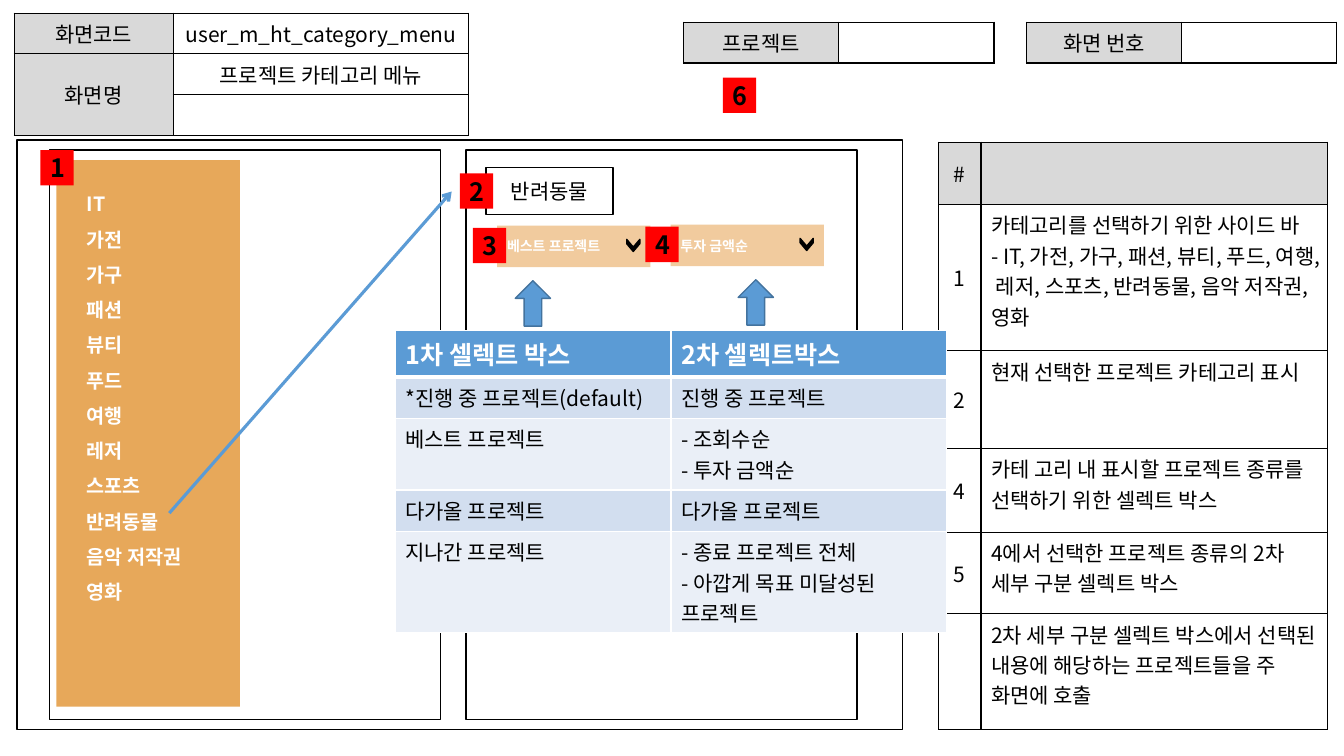
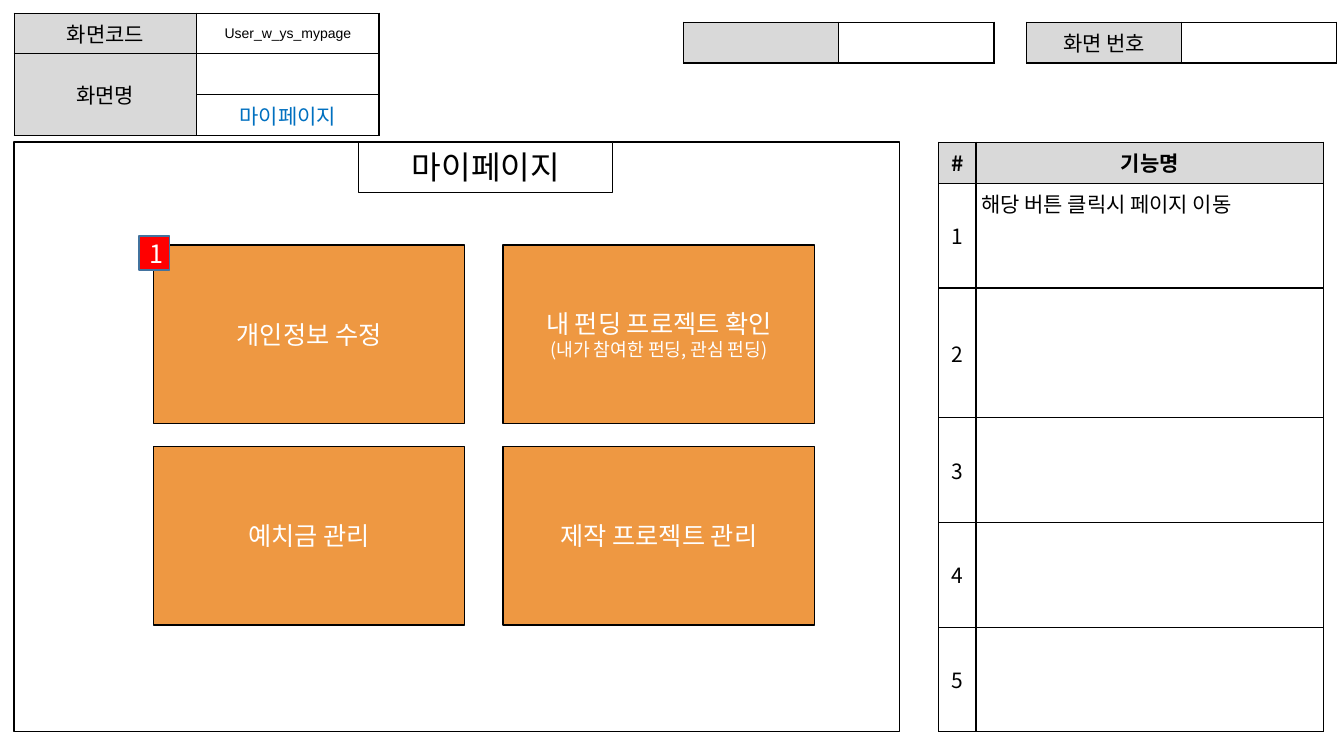
"""Build two screen-specification slides for a funding service."""
import dataclasses

import lxml.etree
import pptx
import pptx.dml.color
import pptx.enum.shapes
import pptx.enum.text
import pptx.oxml
import pptx.oxml.ns
import pptx.util

RGBColor = pptx.dml.color.RGBColor
BLACK = RGBColor(0x00, 0x00, 0x00)
WHITE = RGBColor(0xFF, 0xFF, 0xFF)
GREY = RGBColor(0xD9, 0xD9, 0xD9)
RED = RGBColor(0xFF, 0x00, 0x00)
ORANGE = RGBColor(0xDC, 0x7F, 0x0D)
BUTTON_ORANGE = RGBColor(0xEE, 0x98, 0x42)
BLUE = RGBColor(0x5B, 0x9B, 0xD5)
DARK_BLUE = RGBColor(0x43, 0x73, 0x9E)
LINK_BLUE = RGBColor(0x00, 0x70, 0xC0)
BAND_DARK = RGBColor(0xD2, 0xDE, 0xEF)
BAND_LIGHT = RGBColor(0xEA, 0xEF, 0xF7)

FONT = "Noto Sans CJK KR"
SHAPES = pptx.enum.shapes.MSO_SHAPE
CENTER = pptx.enum.text.PP_ALIGN.CENTER
LEFT = pptx.enum.text.PP_ALIGN.LEFT
MIDDLE = pptx.enum.text.MSO_ANCHOR.MIDDLE
TOP = pptx.enum.text.MSO_ANCHOR.TOP
Inches = pptx.util.Inches
Pt = pptx.util.Pt
qn = pptx.oxml.ns.qn


@dataclasses.dataclass
class Area:
    """A rectangle on the slide, in inches."""

    left: float
    top: float
    width: float
    height: float

    def share(self, left, top, width, height):
        """Return the area at the given percentages of this one."""
        return Area(
            self.left + self.width * left / 100,
            self.top + self.height * top / 100,
            self.width * width / 100,
            self.height * height / 100,
        )

    def emu(self):
        """Return left, top, width and height as slide lengths."""
        return [Inches(side) for side in (self.left, self.top, self.width, self.height)]


SLIDE = Area(0, 0, 13.33, 7.5)


def style_text(frame, size=15, color=BLACK, bold=False, align=CENTER, font=FONT, spacing=None):
    """Format every paragraph and run of a text frame."""
    for para in frame.paragraphs:
        para.alignment = align
        if spacing:
            para.line_spacing = spacing
        for span in para.runs:
            span.font.size = Pt(size)
            span.font.bold = bold
            span.font.name = font
            span.font.color.rgb = color
            east = lxml.etree.SubElement(span.font._element, qn("a:ea"))
            east.set("typeface", font)


def add_block(page, area, text="", kind=SHAPES.RECTANGLE, fill=WHITE, line=None,
              alpha=None, anchor=MIDDLE, margins=(0.1, 0.05), **look):
    """Draw a preset shape with optional outline, opacity and text."""
    block = page.shapes.add_shape(kind, *area.emu())
    block.shadow.inherit = False
    block.fill.solid()
    block.fill.fore_color.rgb = fill
    if alpha:
        color = block._element.spPr.find(qn("a:solidFill")).find(qn("a:srgbClr"))
        lxml.etree.SubElement(color, qn("a:alpha")).set("val", str(alpha * 1000))
    if line is None:
        block.line.fill.background()
    else:
        block.line.color.rgb = line
        block.line.width = Pt(1)
    if text:
        frame = block.text_frame
        frame.text = text
        frame.word_wrap = True
        frame.vertical_anchor = anchor
        frame.margin_left, frame.margin_top = map(Inches, margins)
        style_text(frame, **look)
    return block


def add_badge(page, area, left, top, number):
    """Draw a red number badge at a percentage point of an area."""
    corner = area.share(left, top, 0, 0)
    size = SLIDE.share(0, 0, 2.48, 4.67)
    place = Area(corner.left, corner.top, size.width, size.height)
    add_block(page, place, number, fill=RED, size=18, bold=True)


def border_cell(cell, color, bottom=1):
    """Give a cell solid borders on its four sides."""
    properties = cell._tc.get_or_add_tcPr()
    for index, side in enumerate(("lnL", "lnR", "lnT", "lnB")):
        edge = lxml.etree.Element(qn("a:" + side))
        edge.set("w", str(int(Pt(bottom if side == "lnB" else 1))))
        paint = lxml.etree.SubElement(edge, qn("a:solidFill"))
        lxml.etree.SubElement(paint, qn("a:srgbClr")).set("val", str(color))
        properties.insert(index, edge)


def add_grid(page, area, columns, rows, texts, fill_rule, look_rule,
             margin=0.1, border=BLACK, head_border=1):
    """Draw a table whose columns and rows share the area by weight."""
    frame = page.shapes.add_table(len(rows), len(columns), *area.emu())
    table = frame.table
    table.first_row = table.horz_banding = False
    for column, weight in zip(table.columns, columns):
        column.width = Inches(area.width * weight / sum(columns))
    for row, weight in zip(table.rows, rows):
        row.height = Inches(area.height * weight / sum(rows))
    for r, line in enumerate(texts):
        for c, text in enumerate(line):
            cell = table.cell(r, c)
            cell.fill.solid()
            cell.fill.fore_color.rgb = fill_rule(r, c)
            cell.margin_left = cell.margin_right = Inches(margin)
            border_cell(cell, border, head_border if r == 0 else 1)
            look = look_rule(r, c)
            cell.vertical_anchor = TOP if look.get("align") == LEFT else MIDDLE
            if text:
                cell.text_frame.text = text
                style_text(cell.text_frame, **look)
    return table


def label_fill(row, column):
    """Shade the label column."""
    return GREY if column == 0 else WHITE


def add_header(page, width, columns, code, names, project, margin=0.1, looks=None):
    """Draw the screen identity table and the two label boxes."""
    looks = looks or {}
    identity = add_grid(
        page, SLIDE.share(1.05, 1.73, width, 16.2), columns, [1, 1, 1],
        [["화면코드", code], ["화면명", names[0]], ["", names[1]]],
        label_fill, lambda r, c: looks.get((r, c), {}), margin)
    identity.cell(1, 0).merge(identity.cell(2, 0))
    for left, label in ((76.37, "화면 번호"), (50.86, project)):
        add_grid(page, SLIDE.share(left, 2.93, 23.1, 5.4), [1, 1], [1],
                 [[label, ""]], label_fill, lambda r, c: {}, margin)


def add_notes_table(page, area, columns, rows, texts, margin=0.1, bold_head=False):
    """Draw the numbered description table."""
    def look(row, column):
        if row == 0:
            return {"bold": bold_head}
        return {"align": LEFT if column else CENTER}

    add_grid(page, area, columns, rows, texts,
             lambda r, c: WHITE if r else GREY, look, margin)


def add_menu_screen(page, phone):
    """Draw the phone with the category side bar."""
    add_block(page, phone, line=BLACK)
    categories = ["IT", "가전", "가구", "패션", "뷰티", "푸드", "여행", "레저",
                  "스포츠", "반려동물", "음악 저작권", "영화"]
    add_block(page, phone.share(1.8, 1.77, 46.91, 95.93), "\n".join(categories),
              fill=ORANGE, alpha=68, anchor=TOP, margins=(0.3, 0.2),
              size=14, color=WHITE, bold=True, align=LEFT, spacing=1.5)
    add_badge(page, phone, -2.32, 0, "1")


def add_filter(page, area, label, arrow_left):
    """Draw a select box with its chevron and the arrow below it."""
    add_block(page, area, label, fill=ORANGE, alpha=40,
              size=10, color=WHITE, bold=True, align=LEFT)
    chevron = add_block(page, area.share(84.87, 31.71, 7.89, 31.71),
                        kind=SHAPES.CHEVRON, fill=BLACK, line=BLACK)
    chevron.adjustments[0] = 0.64
    chevron.rotation = 90
    add_block(page, area.share(arrow_left, 133, 23.03, 109.76),
              kind=SHAPES.UP_ARROW, fill=BLUE, line=DARK_BLUE)


def add_list_screen(page, phone):
    """Draw the phone with the chosen category and its filters."""
    add_block(page, phone, line=BLACK)
    add_block(page, phone.share(5.15, 3.01, 32.47, 8.32), "반려동물", line=BLACK)
    add_filter(page, phone.share(7.99, 13.27, 39.18, 7.26), "베스트 프로젝트", 11.84)
    add_filter(page, phone.share(52.32, 13.1, 39.18, 7.26), "투자 금액순", 44.08)
    for left, top, number in ((-1.55, 4.07, "2"), (1.8, 13.63, "3"), (45.88, 13.45, "4")):
        add_badge(page, phone, left, top, number)


def add_options_table(page, area):
    """Draw the banded table of select box options."""
    def fill(row, column):
        return BLUE if row == 0 else BAND_DARK if row % 2 else BAND_LIGHT

    def look(row, column):
        head = {"size": 18, "color": WHITE, "bold": True}
        return {"align": LEFT, **({} if row else head)}

    texts = [
        ["1차 셀렉트 박스", "2차 셀렉트박스"],
        ["*진행 중 프로젝트(default)", "진행 중 프로젝트"],
        ["베스트 프로젝트", "- 조회수순\n- 투자 금액순"],
        ["다가올 프로젝트", "다가올 프로젝트"],
        ["지나간 프로젝트", "- 종료 프로젝트 전체\n- 아깝게 목표 미달성된 프로젝트"],
    ]
    add_grid(page, area, [1, 1], [0.45, 0.41, 0.71, 0.41, 1], texts, fill, look,
             border=WHITE, head_border=3)


def add_flow_arrow(page, area):
    """Draw the arrow from the bottom left to the top right of an area."""
    left, top, width, height = area.emu()
    arrow = page.shapes.add_connector(
        pptx.enum.shapes.MSO_CONNECTOR.STRAIGHT, left, top + height, left + width, top)
    arrow.line.color.rgb = BLUE
    arrow.line.width = Pt(2.25)
    outline = arrow._element.spPr.find(qn("a:ln"))
    lxml.etree.SubElement(outline, qn("a:tailEnd")).set("type", "arrow")
    lxml.etree.SubElement(arrow._element.spPr, qn("a:effectLst"))


def build_category_page(page):
    """Build the category menu specification."""
    add_header(page, 33.83, [35, 65], "user_m_ht_category_menu",
               ["프로젝트 카테고리 메뉴", ""], "프로젝트")
    add_notes_table(page, SLIDE.share(69.84, 18.8, 28.96, 77.73), [0.42, 3.44],
                    [0.62, 1.45, 0.97, 0.83, 0.81, 1.15], [
        ["#", ""],
        ["1", "카테고리를 선택하기 위한 사이드 바\n"
              "- IT, 가전, 가구, 패션, 뷰티, 푸드, 여행, 레저, 스포츠, 반려동물, 음악 저작권, 영화"],
        ["2", "현재 선택한 프로젝트 카테고리 표시"],
        ["4", "카테 고리 내 표시할 프로젝트 종류를 선택하기 위한 셀렉트 박스"],
        ["5", "4에서 선택한 프로젝트 종류의 2차 세부 구분 셀렉트 박스"],
        ["", "2차 세부 구분 셀렉트 박스에서 선택된 내용에 해당하는 프로젝트들을 주 화면에 호출"],
    ])
    add_badge(page, SLIDE, 53.79, 10.27, "6")
    screen = SLIDE.share(1.28, 18.53, 65.87, 78)
    add_block(page, screen, line=BLACK)
    add_menu_screen(page, screen.share(3.64, 1.71, 44.19, 96.58))
    add_list_screen(page, screen.share(50.68, 1.71, 44.19, 96.58))
    add_options_table(page, SLIDE.share(29.41, 43.73, 41.04, 39.73))
    add_flow_arrow(page, SLIDE.share(12.6, 25.33, 21.01, 42.54))


def add_button_screen(page, screen):
    """Draw the my-page screen with its grid of buttons."""
    add_block(page, screen, line=BLACK)
    title = add_block(page, screen.share(38.95, 0, 28.7, 8.55), "마이페이지",
                      line=BLACK, anchor=TOP, size=23)
    title.line.width = Pt(0.75)
    labels = ["개인정보 수정", "내 펀딩 프로젝트 확인\n(내가 참여한 펀딩, 관심 펀딩)",
              "예치금 관리", "제작 프로젝트 관리"]
    for index, label in enumerate(labels):
        row, column = divmod(index, 2)
        place = screen.share(15.72 + 39.52 * column, 17.44 + 34.19 * row, 35.19, 30.26)
        button = add_block(page, place, label, fill=BUTTON_ORANGE, line=BLACK,
                           size=18, color=WHITE)
        for para in button.text_frame.paragraphs[1:]:
            para.runs[0].font.size = Pt(13)
    add_block(page, screen.share(14.12, 15.9, 3.42, 5.81), "1", fill=RED,
              line=DARK_BLUE, size=18, color=WHITE)


def build_my_page(page):
    """Build the my-page specification."""
    add_header(page, 27.16, [1, 1], "User_w_ys_mypage", ["", "마이페이지"], "", 0.05,
               {(0, 1): {"size": 10, "font": "Arial"}, (2, 1): {"color": LINK_BLUE}})
    texts = [["#", "기능명"], ["1", "해당 버튼 클릭시 페이지 이동"]]
    texts += [[str(number), ""] for number in range(2, 6)]
    add_notes_table(page, SLIDE.share(69.84, 18.8, 28.66, 78), [0.37, 3.44],
                    [0.41, 1.04, 1.29, 1.04, 1.04, 1.04], texts, 0.05, True)
    add_button_screen(page, SLIDE.share(1.05, 18.8, 65.87, 78))


def main():
    """Build and save the deck."""
    deck = pptx.Presentation()
    deck.slide_width, deck.slide_height = SLIDE.emu()[2:]
    for build in (build_category_page, build_my_page):
        build(deck.slides.add_slide(deck.slide_layouts[6]))
    deck.save("out.pptx")


if __name__ == "__main__":
    main()
